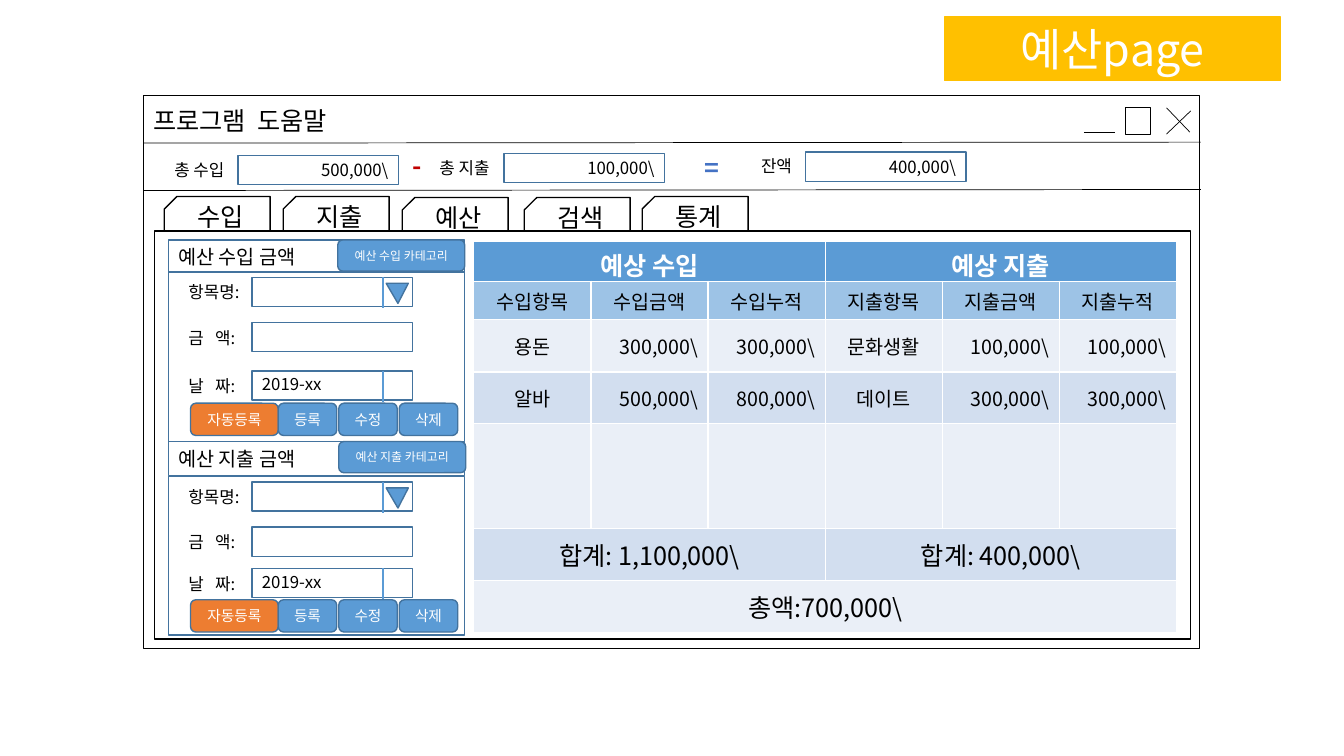
from lxml import etree
from pptx import Presentation
from pptx.dml.color import RGBColor
from pptx.enum.shapes import MSO_CONNECTOR, MSO_SHAPE
from pptx.enum.text import MSO_ANCHOR, MSO_AUTO_SIZE, PP_ALIGN
from pptx.oxml.ns import qn
from pptx.util import Inches, Pt

RECT, ROUND = MSO_SHAPE.RECTANGLE, MSO_SHAPE.ROUNDED_RECTANGLE
SNIP, TRIANGLE = MSO_SHAPE.SNIP_1_RECTANGLE, MSO_SHAPE.ISOSCELES_TRIANGLE
LEFT, CENTER, RIGHT = PP_ALIGN.LEFT, PP_ALIGN.CENTER, PP_ALIGN.RIGHT
MIDDLE = MSO_ANCHOR.MIDDLE
FONT = "Noto Sans CJK KR"
BLACK, WHITE, AMBER, ORANGE = "000000", "FFFFFF", "FFC000", "ED7D31"
BLUE, EDGE, SKY, PALE, MIST = "5B9BD5", "43739E", "9DC3E6", "EAEFF7", "D2DEEF"

TITLE = "예산page"
MENU = "프로그램 도움말"
TABS = [("수입", 1.63, 1.95), ("지출", 2.81, 1.95), ("예산", 3.99, 1.96),
        ("검색", 5.2, 1.96), ("통계", 6.37, 1.95)]
WINDOW_LINES = [(1.42, 1.42, 11.91, 1.41), (1.43, 1.89, 11.91, 1.88),
                (10.75, 1.31, 11.06, 1.31), (11.57, 1.07, 11.8, 1.31),
                (11.81, 1.1, 11.57, 1.33)]
# label, left, top, width, amount, left and top of the amount field
TOTALS = [("총 수입", 1.63, 1.54, 0.78, "500,000\\", 2.36, 1.54),
          ("총 지출", 4.26, 1.52, 0.78, "100,000\\", 5, 1.52),
          ("잔액", 7.45, 1.5, 0.63, "400,000\\", 7.99, 1.51)]
SIGNS = [("-", 3.99, 1.44, "C00000"), ("=", 6.89, 1.46, "4472C4")]
PANELS = [
    {"title": "예산 수입 금액", "category": "예산 수입 카테고리", "top": 2.38,
     "body": (2.7, 1.68), "rows": (2.75, 3.2, 3.68), "buttons": 4.0, "category_left": 3.35},
    {"title": "예산 지출 금액", "category": "예산 지출 카테고리", "top": 4.38,
     "body": (4.73, 1.57), "rows": (4.78, 5.23, 5.64), "buttons": 5.95, "category_left": 3.36},
]
FIELDS = ["항목명:", "금 액:", "날 짜:"]
DATE = "2019-xx"
BUTTONS = ["등록", "수정", "삭제"]
AUTO_BUTTON = "자동등록"

# row height, fill, text size, {first column: (text, columns spanned)}
TABLE = [
    (0.39, BLUE, 18, [("예상 수입", 3), ("예상 지출", 3)]),
    (0.38, SKY, 14, [(t, 1) for t in ("수입항목", "수입금액", "수입누적",
                                      "지출항목", "지출금액", "지출누적")]),
    (0.52, PALE, 14, [(t, 1) for t in ("용돈", "300,000\\", "300,000\\",
                                       "문화생활", "100,000\\", "100,000\\")]),
    (0.51, MIST, 14, [(t, 1) for t in ("알바", "500,000\\", "800,000\\",
                                       "데이트", "300,000\\", "300,000\\")]),
    (1.04, PALE, 14, [("", 1)] * 6),
    (0.52, MIST, 18, [("합계: 1,100,000\\", 3), ("합계: 400,000\\", 3)]),
    (0.52, PALE, 18, [("총액:700,000\\", 6)]),
]


def rgb(hex_color):
    return RGBColor.from_string(hex_color)


def write(tf, text, size, color=BLACK, align=LEFT, bold=False, gap=0):
    """Fill a text frame; gap widens its first space by that many points."""
    p = tf.paragraphs[0]
    p.alignment = align
    for part in text.partition(" ") if gap else (text,):
        r = p.add_run()
        r.text = part
        for name, value in {"size": Pt(size), "bold": bold, "name": FONT}.items():
            setattr(r.font, name, value)
        r.font.color.rgb = rgb(color)
        rPr = r.font._element
        etree.SubElement(rPr, qn("a:ea"), typeface=FONT)
        if gap and part == " ":
            rPr.set("spc", str(round(gap * 100)))


def box(kind, left, top, width, height, fill=None, line=EDGE, weight=1):
    sp = s.shapes.add_shape(kind, *map(Inches, (left, top, width, height)))
    sp.shadow.inherit = False
    if fill:
        sp.fill.solid()
        sp.fill.fore_color.rgb = rgb(fill)
    else:
        sp.fill.background()
    sp.line.color.rgb = rgb(line)
    sp.line.width = Pt(weight)
    sp.text_frame.vertical_anchor = MIDDLE
    return sp


def label(text, left, top, width, height, size, **style):
    sp = s.shapes.add_textbox(*map(Inches, (left, top, width, height)))
    tf = sp.text_frame
    tf.word_wrap = True
    tf.auto_size = MSO_AUTO_SIZE.SHAPE_TO_FIT_TEXT
    write(tf, text, size, **style)


def rule(x1, y1, x2, y2, color=BLACK, weight=0.5):
    c = s.shapes.add_connector(MSO_CONNECTOR.STRAIGHT, *map(Inches, (x1, y1, x2, y2)))
    c.line.color.rgb = rgb(color)
    c.line.width = Pt(weight)
    etree.SubElement(c._element.spPr, qn("a:effectLst"))


def button(text, left, top, width, height=0.32, size=10.5, fill=BLUE):
    write(box(ROUND, left, top, width, height, fill).text_frame, text, size, WHITE, CENTER)


def field(left, top):
    return box(RECT, left, top, 1.59, 0.29)


def draw_title():
    sp = s.shapes.title
    for name, value in zip(("left", "top", "width", "height"), (9.37, 0.17, 3.33, 0.63)):
        setattr(sp, name, Inches(value))
    sp.fill.solid()
    sp.fill.fore_color.rgb = rgb(AMBER)
    sp.line.color.rgb = rgb(AMBER)
    sp.line.width = Pt(1)
    sp.text_frame.vertical_anchor = MIDDLE
    sp.text_frame.auto_size = MSO_AUTO_SIZE.NONE
    write(sp.text_frame, TITLE, 32, WHITE, CENTER)


def draw_window():
    box(RECT, 1.42, 0.95, 10.48, 5.48, WHITE, BLACK, 0.5)
    label(MENU, 1.42, 1, 2.44, 0.4, 18, gap=4)
    box(RECT, 11.16, 1.07, 0.25, 0.26, WHITE, BLACK, 0.5)
    for ends in WINDOW_LINES:
        rule(*ends)
    for text, left, top in TABS:
        tab = box(SNIP, left, top, 1.05, 0.34, WHITE, BLACK)
        tab.adjustments[0] = 0.364
        tab._element.spPr.find(qn("a:xfrm")).set("flipH", "1")
        write(tab.text_frame, text, 18, align=CENTER)
    box(RECT, 1.53, 2.29, 10.28, 4.05, WHITE, BLACK)


def draw_totals():
    for text, left, top, width, amount, field_left, field_top in TOTALS:
        label(text, left, top, width, 0.3, 12)
        write(field(field_left, field_top).text_frame, amount, 12, align=RIGHT)
    for sign, left, top, color in SIGNS:
        label(sign, left, top, 0.36, 0.4, 18, color=color, bold=True)


def draw_table():
    tbl = s.shapes.add_table(len(TABLE), 6, *map(Inches, (4.7, 2.39, 6.97, 3.88))).table
    for col in tbl.columns:
        col.width = Inches(6.97 / 6)
    for i, (height, fill, size, entries) in enumerate(TABLE):
        tbl.rows[i].height = Inches(height)
        j = 0
        for text, span in entries:
            cell = tbl.cell(i, j)
            if span > 1:
                cell.merge(tbl.cell(i, j + span - 1))
            cell.fill.solid()
            cell.fill.fore_color.rgb = rgb(fill)
            cell.vertical_anchor = MIDDLE
            amount = span == 1 and text.endswith("\\")
            if text:
                write(cell.text_frame, text, size, BLACK if i else WHITE,
                      RIGHT if amount else CENTER, bold=i == 0)
            j += span


def draw_panel(panel):
    top, rows, buttons = panel["top"], panel["rows"], panel["buttons"]
    body_top, body_height = panel["body"]
    header = box(RECT, 1.67, top, 2.94, 0.34, WHITE)
    write(header.text_frame, panel["title"], 14)
    box(RECT, 1.67, body_top, 2.94, body_height, WHITE)
    for text, y in zip(FIELDS, rows):
        label(text, 1.77, y, 0.78, 0.3, 12, gap=5.4 if " " in text else 0)
        field(2.5, y)
    arrow = box(TRIANGLE, 3.83, rows[0] + 0.06, 0.22, 0.2, BLUE)
    arrow.rotation = 180
    arrow.adjustments[0] = 0.47
    for y in (rows[0], rows[2]):
        rule(3.8, y, 3.8, y + 0.31, BLUE, 1.5)
    label(DATE, 2.5, rows[2] - 0.02, 1.3, 0.3, 12)
    button(AUTO_BUTTON, 1.89, buttons, 0.87, fill=ORANGE)
    for i, text in enumerate(BUTTONS):
        button(text, 2.76 + 0.6 * i, buttons, 0.58)
    button(panel["category"], panel["category_left"], top, 1.26, 0.31, 8.5)


prs = Presentation()
prs.slide_width, prs.slide_height = Inches(13.33), Inches(7.5)
s = prs.slides.add_slide(prs.slide_layouts[5])
draw_title()
draw_window()
draw_totals()
draw_table()
for panel in PANELS:
    draw_panel(panel)
prs.save("out.pptx")
